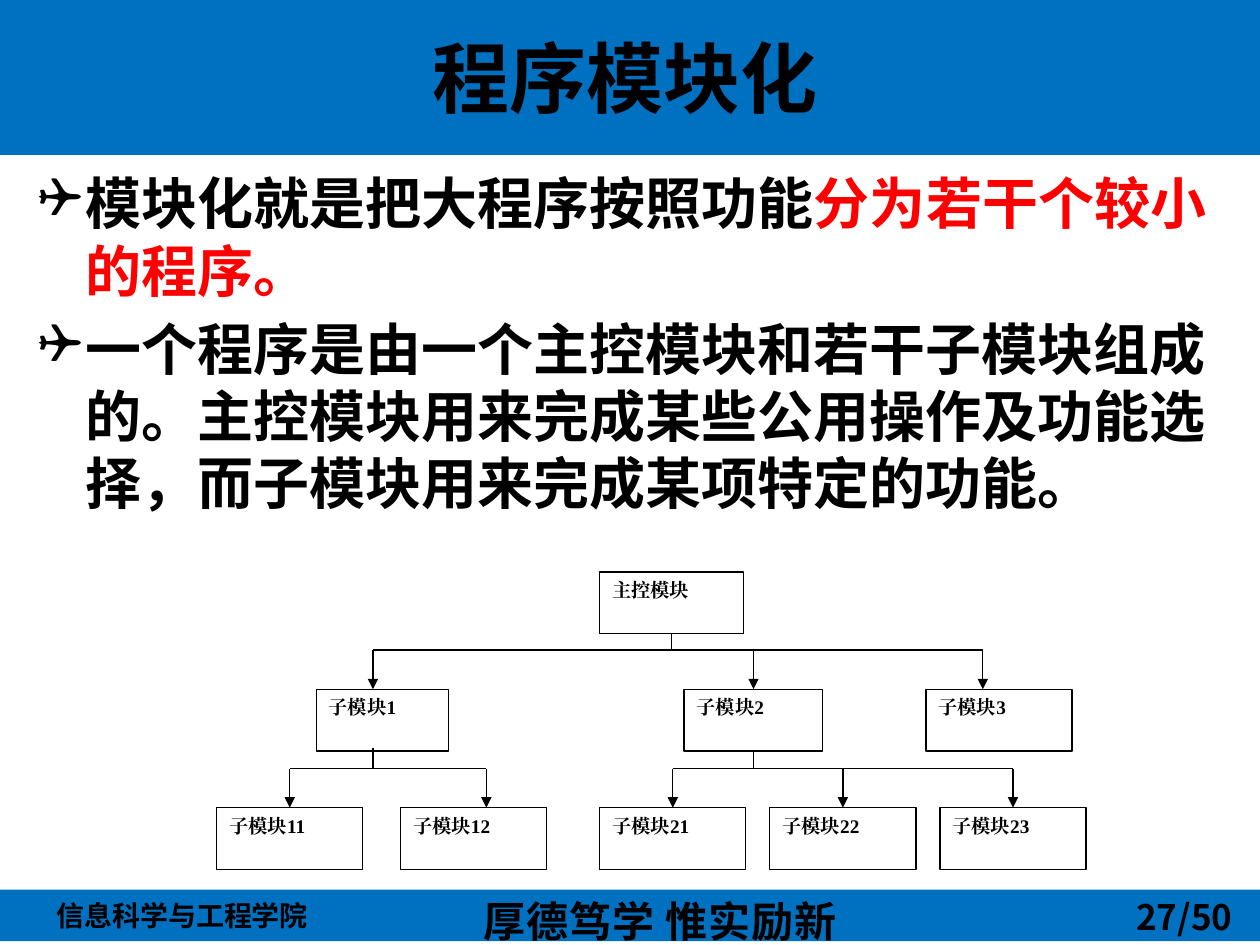
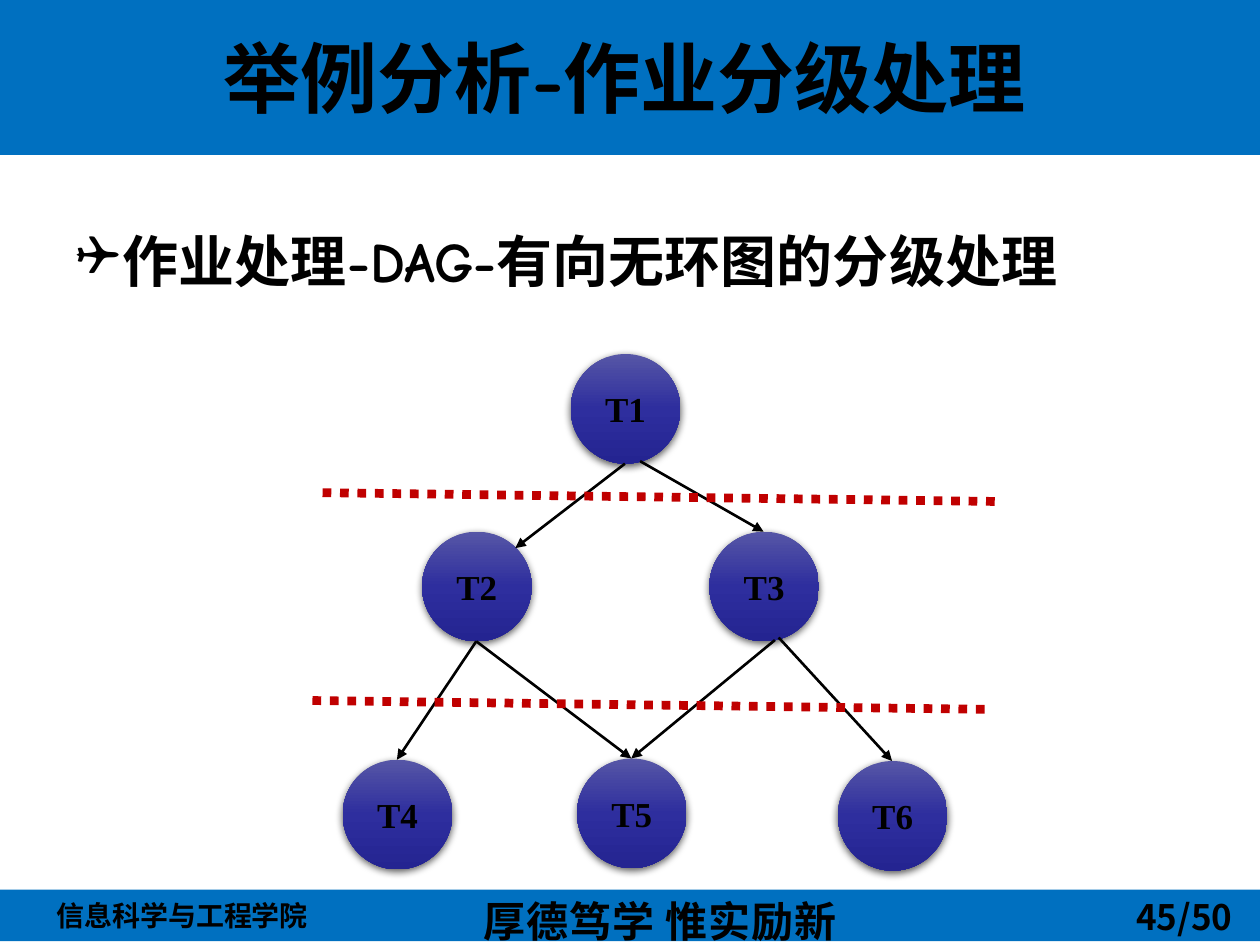
"""Build two lecture slides: a module tree and a graded task graph."""
from pptx import Presentation
from pptx import util as u
from pptx.dml.color import RGBColor
from pptx.enum import dml, shapes, text
from pptx.oxml import parse_xml
from pptx.oxml.ns import nsdecls, qn

PX = 9144
HUE = dict(blue="0070C0", ink="000000", red="FF0000", dash="C00000",
           white="FFFFFF", top="5656A6", mid="2E2E9E", low="242491")
COMIC, NOTO, TIMES = "Comic Neue", "Noto Sans CJK SC", "Times New Roman"
RECT, OVAL = shapes.MSO_SHAPE.RECTANGLE, shapes.MSO_SHAPE.OVAL
NS = nsdecls("a")


def write(par, words, size=32, face=COMIC, hue="ink", gap=0):
    """Add a bold run to a paragraph."""
    run = par.add_run()
    run.text = words
    run.font.size, run.font.bold, run.font.name = u.Pt(size), True, face
    run.font.color.rgb = RGBColor.from_string(HUE[hue])
    props = run.font._element
    props.find(qn("a:latin")).addnext(parse_xml(f'<a:ea {NS} typeface="{face}"/>'))
    if gap:
        props.set("spc", str(gap))


def link(slide, x1, y1, x2, y2, width=0.75, hue="ink", arrow=False):
    """Draw a straight line without a shadow."""
    line = slide.shapes.add_connector(
        shapes.MSO_CONNECTOR.STRAIGHT, *(v * PX for v in (x1, y1, x2, y2)))
    line.line.width = u.Pt(width)
    line.line.color.rgb = RGBColor.from_string(HUE[hue])
    if arrow:
        line.line._get_or_add_ln().append(parse_xml(f'<a:tailEnd {NS} type="triangle"/>'))
    line._element.spPr.append(parse_xml(f"<a:effectLst {NS}/>"))
    return line


deck = Presentation()
deck.slide_width, deck.slide_height = 1000 * PX, 750 * PX
base = deck.slide_layouts[1]

pages = [
    ("程序模块化", "27/50", (20, 129, 961, 568), [
        [("模块化就是把大程序按照功能", "ink"), ("分为若干个较小的程序。", "red")],
        [("一个程序是由一个主控模块和若干子模块组成的。主控模块用来完成某些公用操作及"
          "功能选择，而子模块用来完成某项特定的功能。", "ink")]]),
    ("举例分析-作业分级处理", "45/50", (50, 175, 900, 531), [
        [("作业处理-DAG-有向无环图的分级处理", "ink")]]),
]
made = []
for title, page, area, items in pages:
    slide = deck.slides.add_slide(base)
    made.append(slide)
    head, body = slide.placeholders
    for box, place in ((head, (4, 6, 984, 109)), (body, area)):
        box.left, box.top, box.width, box.height = (v * PX for v in place)
    write(head.text_frame.paragraphs[0], title, size=44)
    for i, item in enumerate(items):
        par = body.text_frame.paragraphs[0] if i == 0 else body.text_frame.add_paragraph()
        props = par._p.get_or_add_pPr()
        props.append(parse_xml(f'<a:buFont {NS} typeface="Wingdings"/>'))
        props.append(parse_xml(f'<a:buChar {NS} char="❑"/>'))
        for words, hue in item:
            write(par, words, hue=hue)
    foot = slide.shapes.add_textbox(755 * PX, 706 * PX, 233 * PX, 41 * PX)
    foot.text_frame.word_wrap = True
    par = foot.text_frame.paragraphs[0]
    par.alignment = text.PP_ALIGN.RIGHT
    write(par, page, size=20, face=NOTO)

tree, graph = made

bands = [tree.shapes.add_shape(RECT, *(v * PX for v in place))
         for place in ((0, 0, 1000, 123), (-4, 706, 1004, 41))]
for band in bands:
    band.shadow.inherit = False
    band.fill.solid()
    band.fill.fore_color.rgb = RGBColor.from_string(HUE["blue"])
    band.line.fill.background()
frame = bands[1].text_frame
frame.word_wrap, frame.margin_left = False, 49 * PX
frame.paragraphs[0].alignment = text.PP_ALIGN.LEFT
write(frame.paragraphs[0], "信息科学与工程学院", size=16, face=NOTO)
motto = tree.shapes.add_textbox(374 * PX, 706 * PX, 304 * PX, 50 * PX)
motto.text_frame.word_wrap = False
write(motto.text_frame.paragraphs[0], "厚德笃学 惟实励新", size=24, face=NOTO, gap=50)
for part in (*bands, motto):
    base.shapes.element.append(part._element)

nodes = {}
for name, left, top, width in (
        ("主控模块", 476, 454, 114), ("子模块1", 251, 547, 105),
        ("子模块2", 543, 547, 110), ("子模块3", 735, 547, 116),
        ("子模块11", 172, 641, 116), ("子模块12", 318, 641, 116),
        ("子模块21", 476, 641, 116), ("子模块22", 611, 641, 116),
        ("子模块23", 746, 641, 116)):
    box = tree.shapes.add_shape(RECT, left * PX, top * PX, width * PX, 49 * PX)
    box.shadow.inherit = False
    box.fill.solid()
    box.fill.fore_color.rgb = RGBColor.from_string(HUE["white"])
    box.line.color.rgb = RGBColor.from_string(HUE["ink"])
    box.line.width = u.Pt(0.75)
    box.text_frame.vertical_anchor = text.MSO_ANCHOR.TOP
    par = box.text_frame.paragraphs[0]
    par.alignment = text.PP_ALIGN.JUSTIFY
    write(par, name, size=11, face=TIMES)
    nodes[name] = box, left + width / 2

for root, stem, bus, kids in (
        ("主控模块", 533, 516, {"子模块1": 296, "子模块2": 598, "子模块3": 780}),
        ("子模块1", 296, 610, {"子模块11": 230, "子模块12": 386}),
        ("子模块2", 598, 610, {"子模块21": 534, "子模块22": 669, "子模块23": 804})):
    box, mid = nodes[root]
    line = link(tree, stem, bus - 16, stem, bus)
    if stem == mid:
        line.begin_connect(box, 2)
    link(tree, min(kids.values()), bus, max(kids.values()), bus)
    for kid, x in kids.items():
        box, mid = nodes[kid]
        line = link(tree, x, bus, x, bus + 31, arrow=True)
        if x == mid:
            line.end_connect(box, 0)

stops = "".join(f'<a:gs pos="{pos}"><a:srgbClr val="{HUE[key]}"/></a:gs>'
                for pos, key in ((0, "top"), (50000, "mid"), (100000, "low")))
GRAD = f'<a:gradFill {NS}><a:gsLst>{stops}</a:gsLst><a:lin ang="5400000"/></a:gradFill>'
SHADE = (f'<a:outerShdw {NS} blurRad="57150" dist="19050" dir="5400000">'
         f'<a:srgbClr val="{HUE["ink"]}"><a:alpha val="63000"/></a:srgbClr></a:outerShdw>')
tasks = {}
for name, left, top in (("T1", 453, 281), ("T2", 335, 422), ("T3", 563, 422),
                        ("T4", 272, 603), ("T5", 458, 602), ("T6", 665, 604)):
    ball = graph.shapes.add_shape(OVAL, left * PX, top * PX, 87 * PX, 87 * PX)
    ball.line.fill.background()
    ball.shadow.inherit = False
    props = ball._element.spPr
    props.find(qn("a:prstGeom")).addnext(parse_xml(GRAD))
    props.find(qn("a:effectLst")).append(parse_xml(SHADE))
    ball.text_frame.vertical_anchor = text.MSO_ANCHOR.MIDDLE
    par = ball.text_frame.paragraphs[0]
    par.alignment = text.PP_ALIGN.CENTER
    write(par, name, size=20, face=TIMES)
    tasks[name] = ball

for start, goal, site in (("T1", "T2", 7), ((508, 366), "T3", 0), ("T2", "T4", 0),
                          ("T2", "T5", 0), ((618, 506), "T6", 0), ((615, 508), "T5", 0)):
    ball = tasks[goal]
    x, y = (ball.left + ball.width // 2) // PX, ball.top // PX
    if site == 7:
        x, y = x + 31, y + 13
    if start in tasks:
        src = tasks[start]
        spot = (src.left + src.width // 2) // PX, (src.top + src.height) // PX
        line = link(graph, *spot, x, y, width=1.5, arrow=True)
        line._connect_begin_to(src, 4)
    else:
        line = link(graph, *start, x, y, width=1.5, arrow=True)
    line._connect_end_to(ball, site)

for x, y in ((256, 391), (248, 556)):
    line = link(graph, x, y, x + 535, y + 7, width=5, hue="dash")
    line.line.dash_style = dml.MSO_LINE.ROUND_DOT

deck.save("out.pptx")
